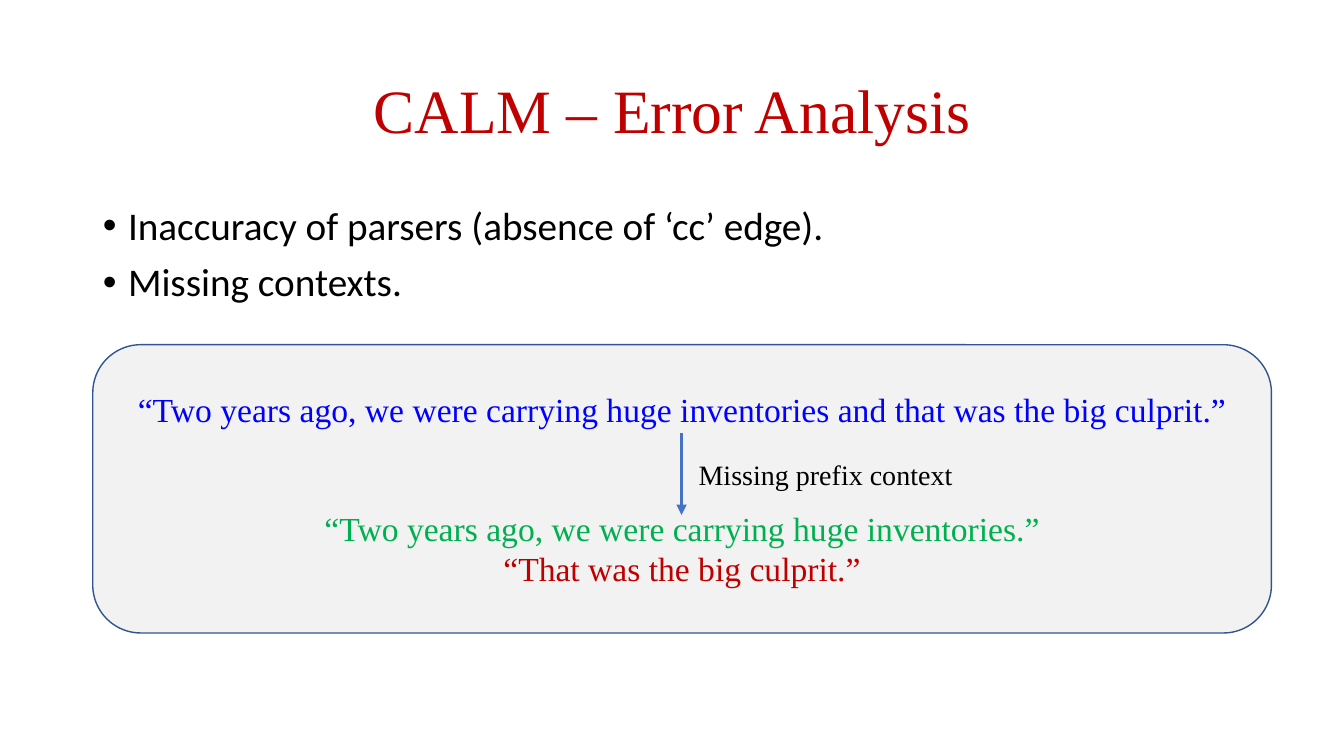
from dataclasses import dataclass
from pptx import Presentation
from pptx.dml.color import RGBColor as Rgb
from pptx.enum.shapes import MSO_CONNECTOR as Connector, MSO_SHAPE as Shape
from pptx.enum.text import MSO_ANCHOR as Anchor, MSO_AUTO_SIZE as AutoSize, PP_ALIGN as Align
from pptx.oxml.ns import qn
from pptx.util import Inches, Pt
from lxml.etree import SubElement


@dataclass(frozen=True)
class Theme:
    """Fonts, type sizes and colours of the slide."""
    serif: str = "Times New Roman"
    sans: str = "Calibri"
    title_size: int = 44
    body_size: int = 28
    quote_size: int = 24
    label_size: int = 20
    black: str = "000000"
    red: str = "C00000"
    blue: str = "0000FF"
    green: str = "00B050"
    panel: str = "F2F2F2"
    border: str = "325491"
    arrow: str = "4472C4"


theme = Theme()


def add_span(para, text, font, size, color):
    """Add one formatted run to a paragraph."""
    span = para.add_run()
    span.text = text
    span.font.name = font
    span.font.size = Pt(size)
    span.font.color.rgb = Rgb.from_string(color)


def place(box, left, top, width, height):
    """Move and size a box, in inches."""
    box.left, box.top = Inches(left), Inches(top)
    box.width, box.height = Inches(width), Inches(height)


deck = Presentation()
deck.slide_width, deck.slide_height = Inches(13.33), Inches(7.5)
page = deck.slides.add_slide(deck.slide_layouts[1])

# Title
title = page.shapes.title
place(title, 0.92, 0.4, 11.5, 1.45)
title.text_frame.auto_size = AutoSize.NONE
title.text_frame.vertical_anchor = Anchor.MIDDLE
para = title.text_frame.paragraphs[0]
para.alignment = Align.CENTER
para.line_spacing = 0.9
add_span(para, "CALM – Error Analysis", theme.serif, theme.title_size, theme.red)

# Causes of error
causes = page.placeholders[1]
place(causes, 0.92, 2, 11.5, 1.16)
causes.text_frame.auto_size = AutoSize.NONE
for index, text in enumerate(["Inaccuracy of parsers (absence of ‘cc’ edge).", "Missing contexts."]):
    para = causes.text_frame.add_paragraph() if index else causes.text_frame.paragraphs[0]
    para.line_spacing = 0.9
    para.space_before = Pt(10)
    properties = para._p.get_or_add_pPr()
    properties.set("marL", str(Inches(0.25)))
    properties.set("indent", str(Inches(-0.25)))
    SubElement(properties, qn("a:buFont"), typeface="Arial")
    SubElement(properties, qn("a:buChar"), char="•")
    add_span(para, text, theme.sans, theme.body_size, theme.black)

# Example panel: the space before the split sentences leaves room for the arrow
panel = page.shapes.add_shape(Shape.ROUNDED_RECTANGLE, Inches(0.92), Inches(3.42), Inches(11.69), Inches(2.86))
panel.shadow.inherit = False
panel.fill.solid()
panel.fill.fore_color.rgb = Rgb.from_string(theme.panel)
panel.line.color.rgb = Rgb.from_string(theme.border)
panel.line.width = Pt(1)
panel.text_frame.word_wrap = True
panel.text_frame.vertical_anchor = Anchor.MIDDLE
quotes = [
    ("“Two years ago, we were carrying huge inventories and that was the big culprit.”", theme.blue, 0),
    ("“Two years ago, we were carrying huge inventories.”", theme.green, 56),
    ("“That was the big culprit.”", theme.red, 0),
]
for index, (text, color, gap) in enumerate(quotes):
    para = panel.text_frame.add_paragraph() if index else panel.text_frame.paragraphs[0]
    para.alignment = Align.CENTER
    para.space_before = Pt(gap)
    add_span(para, text, theme.serif, theme.quote_size, color)

# Arrow from the full sentence to its parts
arrow = page.shapes.add_connector(Connector.STRAIGHT, Inches(6.76), Inches(4.3), Inches(6.76), Inches(5.11))
arrow.line.color.rgb = Rgb.from_string(theme.arrow)
arrow.line.width = Pt(2.5)
SubElement(arrow.line._get_or_add_ln(), qn("a:tailEnd"), type="triangle")
SubElement(arrow._element.spPr, qn("a:effectLst"))

label = page.shapes.add_textbox(Inches(6.83), Inches(4.49), Inches(3.18), Inches(0.44))
label.text_frame.word_wrap = True
label.text_frame.auto_size = AutoSize.SHAPE_TO_FIT_TEXT
add_span(label.text_frame.paragraphs[0], "Missing prefix context", theme.serif, theme.label_size, theme.black)

deck.save("out.pptx")
